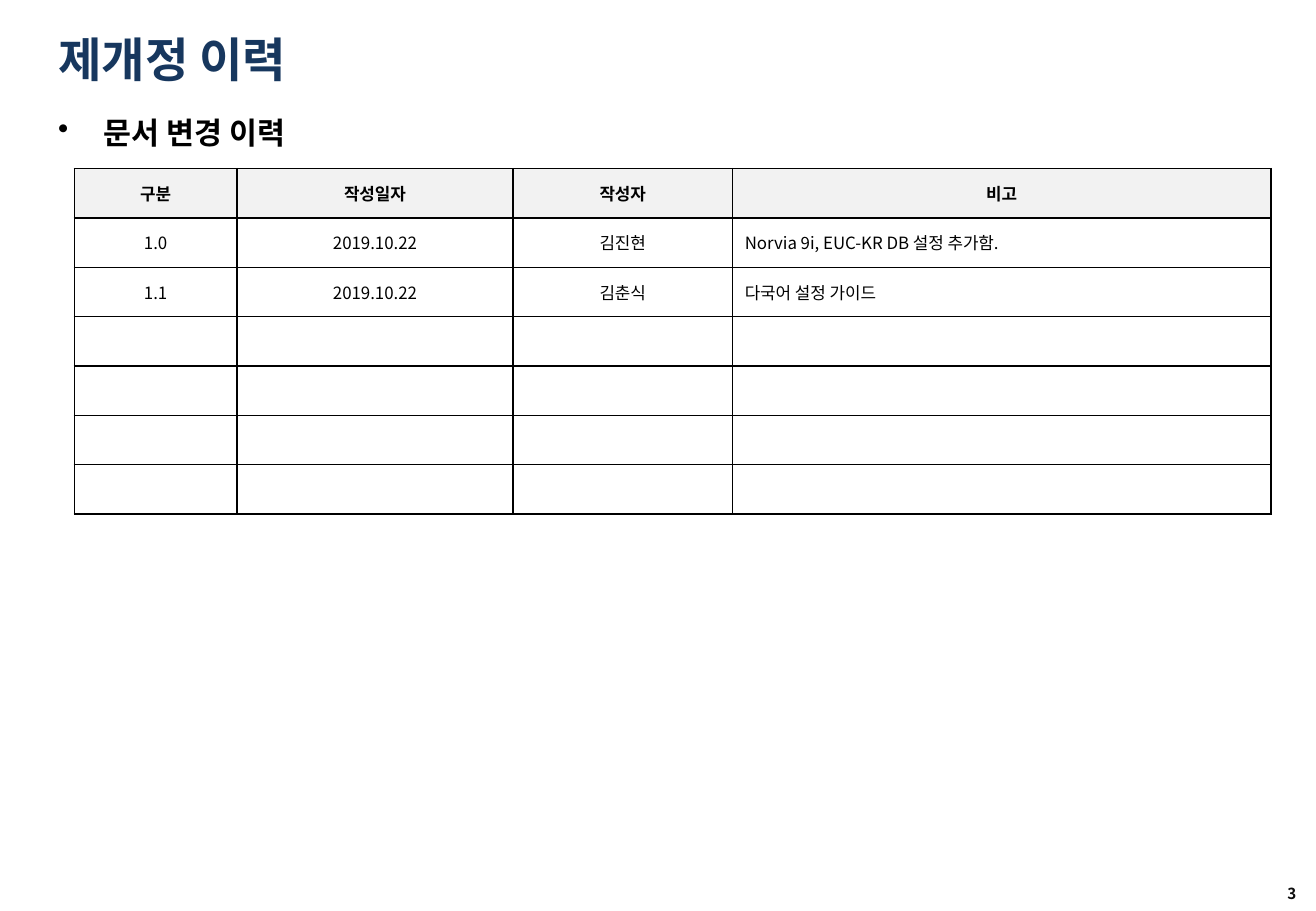
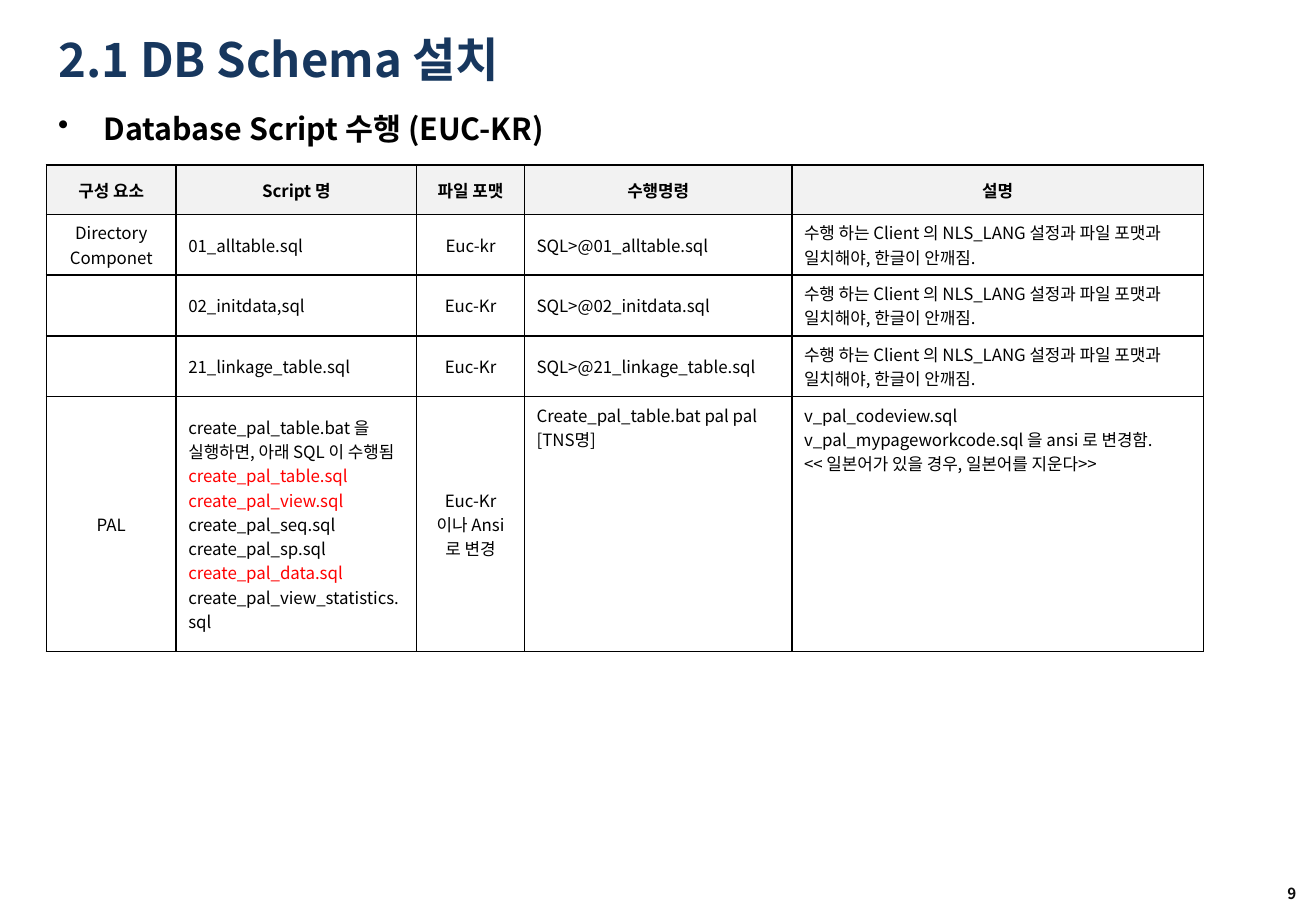
from dataclasses import dataclass

import lxml.etree
import pptx
import pptx.dml.color
import pptx.enum.text
import pptx.oxml.ns
import pptx.util

Pt = pptx.util.Pt
ALIGN = pptx.enum.text.PP_ALIGN
ANCHOR = pptx.enum.text.MSO_ANCHOR
qn = pptx.oxml.ns.qn

# Shared look
FONT = "Noto Sans CJK KR"
NAVY, BLACK, GREY, RED, NUMBER = "17375E", "000000", "F2F2F2", "FF0000", "0D0D0D"
TITLE_FMT = {"size": Pt(28), "bold": True, "name": FONT}
HEADING_FMT = {"size": Pt(18), "bold": True, "name": FONT}
HEADER_FMT = {"size": Pt(10), "bold": True, "name": FONT}
CELL_FMT = {"size": Pt(10), "bold": False, "name": FONT}
NUMBER_FMT = {"size": Pt(9), "bold": True, "name": FONT}
MARGIN = 27.4
HANGING = Pt(27)


@dataclass
class Cell:
    text: str = ""
    top: bool = False
    red: tuple[str, ...] = ()


@dataclass
class Grid:
    left: float
    top: float
    widths: list[float]
    heights: list[float]
    centred: set[int]
    header: list[str]
    rows: list[list[Cell]]


@dataclass
class Page:
    number: int
    title: str
    heading: str
    spacing: float
    grid: Grid


def rgb(value: str) -> pptx.dml.color.RGBColor:
    return pptx.dml.color.RGBColor.from_string(value)


def add_run(p, text: str, fmt: dict, color: str) -> None:
    r = p.add_run()
    r.text = text
    for key, value in fmt.items():
        setattr(r.font, key, value)
    r.font.color.rgb = rgb(color)
    ea = lxml.etree.SubElement(r._r.get_or_add_rPr(), qn("a:ea"))
    ea.set("typeface", FONT)


def place(sp, left: float, top: float, width: float, height: float) -> None:
    sp.left, sp.top, sp.width, sp.height = map(Pt, (left, top, width, height))


def add_box(s, left: float, top: float, width: float, height: float):
    sp = s.shapes.add_textbox(Pt(left), Pt(top), Pt(width), Pt(height))
    sp.text_frame.word_wrap = True
    return sp.text_frame


def add_title(s, text: str) -> None:
    sp = s.shapes.title
    place(sp, MARGIN, 15, 702, 39.6)
    tf = sp.text_frame
    tf.auto_size = pptx.enum.text.MSO_AUTO_SIZE.NONE
    tf.vertical_anchor = ANCHOR.MIDDLE
    tf.paragraphs[0].alignment = ALIGN.LEFT
    add_run(tf.paragraphs[0], text, TITLE_FMT, NAVY)


def add_heading(s, text: str, spacing: float) -> None:
    p = add_box(s, MARGIN, 62, 713.5, 32.4).paragraphs[0]
    p.line_spacing = spacing
    pPr = p._p.get_or_add_pPr()
    pPr.set("marL", str(HANGING))
    pPr.set("indent", str(-HANGING))
    lxml.etree.SubElement(pPr, qn("a:buChar")).set("char", "•")
    add_run(p, text, HEADING_FMT, BLACK)


def add_number(s, number: int) -> None:
    tf = add_box(s, 594.7, 519.5, 182.2, 20)
    tf.margin_left = tf.margin_right = Pt(8.6)
    tf.margin_top = tf.margin_bottom = Pt(0)
    tf.vertical_anchor = ANCHOR.MIDDLE
    tf.paragraphs[0].alignment = ALIGN.RIGHT
    add_run(tf.paragraphs[0], str(number), NUMBER_FMT, NUMBER)


def add_borders(cell) -> None:
    tcPr = cell._tc.get_or_add_tcPr()
    for side in ("lnL", "lnR", "lnT", "lnB"):
        ln = lxml.etree.SubElement(tcPr, qn(f"a:{side}"))
        ln.set("w", str(Pt(1)))
        fill = lxml.etree.SubElement(ln, qn("a:solidFill"))
        lxml.etree.SubElement(fill, qn("a:srgbClr")).set("val", BLACK)


def fill_cell(cell, content: Cell, is_header: bool, centred: bool) -> None:
    add_borders(cell)
    if is_header:
        cell.fill.solid()
        cell.fill.fore_color.rgb = rgb(GREY)
    else:
        cell.fill.background()
    cell.vertical_anchor = ANCHOR.TOP if content.top else ANCHOR.MIDDLE
    tf = cell.text_frame
    for i, line in enumerate(content.text.split("\n")):
        p = tf.add_paragraph() if i else tf.paragraphs[0]
        p.alignment = ALIGN.CENTER if centred else ALIGN.LEFT
        if line:
            color = RED if line in content.red else BLACK
            add_run(p, line, HEADER_FMT if is_header else CELL_FMT, color)
        else:
            # Keeps an empty cell from stretching its row
            lxml.etree.SubElement(p._p, qn("a:endParaRPr")).set("sz", "1000")


def add_grid(s, grid: Grid) -> None:
    rows = [[Cell(text) for text in grid.header], *grid.rows]
    table = s.shapes.add_table(
        len(rows), len(grid.widths), Pt(grid.left), Pt(grid.top),
        Pt(sum(grid.widths)), Pt(sum(grid.heights))).table
    table.horz_banding = False
    for column, width in zip(table.columns, grid.widths):
        column.width = Pt(width)
    for i, (row, height) in enumerate(zip(rows, grid.heights)):
        table.rows[i].height = Pt(height)
        for j, content in enumerate(row):
            fill_cell(table.cell(i, j), content, i == 0, i == 0 or j in grid.centred)


# Revision history
HISTORY = Grid(
    44, 100, [96.5, 163.5, 130.3, 319], [29.25] * 7, {0, 1, 2},
    ["구분", "작성일자", "작성자", "비고"],
    [
        [Cell("1.0"), Cell("2019.10.22"), Cell("김진현"),
         Cell("Norvia 9i, EUC-KR DB 설정 추가함.")],
        [Cell("1.1"), Cell("2019.10.22"), Cell("김춘식"), Cell("다국어 설정 가이드")],
        *[[Cell()] * 4 for _ in range(4)],
    ],
)

# Database scripts
ENCODING_NOTE = Cell(
    "수행 하는 Client 의 NLS_LANG 설정과 파일 포맷과 일치해야, 한글이 안깨짐.", top=True)
PAL_SCRIPTS = Cell(
    "create_pal_table.bat 을 실행하면, 아래 SQL 이 수행됨\n"
    "create_pal_table.sql\n"
    "create_pal_view.sql\n"
    "create_pal_seq.sql\n"
    "create_pal_sp.sql\n"
    "create_pal_data.sql\n"
    "create_pal_view_statistics.sql",
    red=("create_pal_table.sql", "create_pal_view.sql", "create_pal_data.sql"))
PAL_NOTE = Cell(
    "v_pal_codeview.sql\n"
    "v_pal_mypageworkcode.sql 을 ansi 로 변경함.\n"
    "<< 일본어가 있을 경우, 일본어를 지운다>>", top=True)
SCRIPTS = Grid(
    MARGIN, 97.9, [77, 142.5, 64, 158.5, 244], [29.25, 36, 36, 36, 151], {0, 2},
    ["구성 요소", "Script 명", "파일 포맷", "수행명령", "설명"],
    [
        [Cell("Directory Componet"), Cell("01_alltable.sql"), Cell("Euc-kr"),
         Cell("SQL>@01_alltable.sql"), ENCODING_NOTE],
        [Cell(), Cell("02_initdata,sql"), Cell("Euc-Kr"),
         Cell("SQL>@02_initdata.sql"), ENCODING_NOTE],
        [Cell(), Cell("21_linkage_table.sql"), Cell("Euc-Kr"),
         Cell("SQL>@21_linkage_table.sql"), ENCODING_NOTE],
        [Cell("PAL"), PAL_SCRIPTS, Cell("Euc-Kr 이나 Ansi 로 변경"),
         Cell("Create_pal_table.bat pal pal [TNS명]", top=True), PAL_NOTE],
    ],
)

PAGES = [
    Page(3, "제개정 이력", "문서 변경 이력", 1.1, HISTORY),
    Page(9, "2.1 DB Schema 설치", "Database Script 수행 (EUC-KR)", 1.0, SCRIPTS),
]


def main() -> None:
    prs = pptx.Presentation()
    prs.slide_width, prs.slide_height = Pt(780), Pt(540)
    for page in PAGES:
        s = prs.slides.add_slide(prs.slide_layouts[5])
        add_title(s, page.title)
        add_heading(s, page.heading, page.spacing)
        add_grid(s, page.grid)
        add_number(s, page.number)
    prs.save("out.pptx")


if __name__ == "__main__":
    main()
